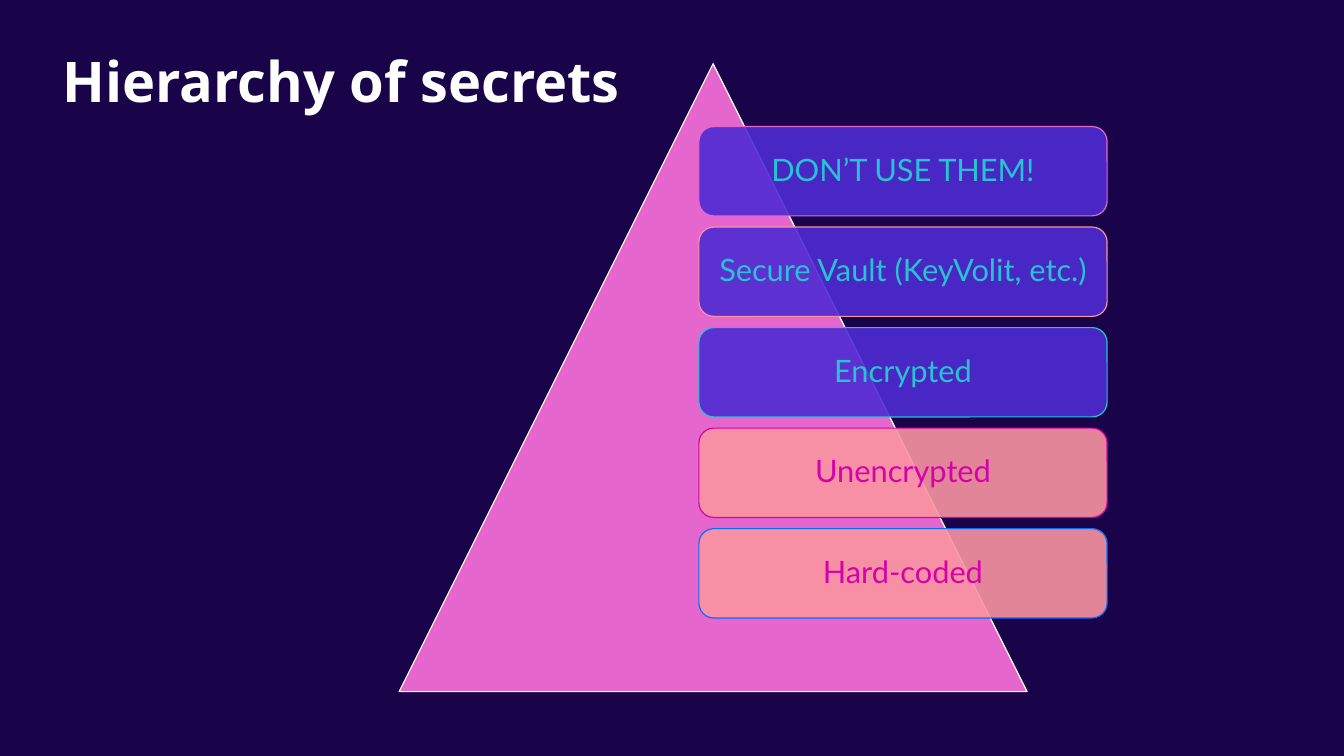
"""Build the slide that ranks ways of keeping secrets on a pyramid."""
from dataclasses import dataclass
from typing import Any

import pptx
import pptx.dml.color
import pptx.enum.shapes
import pptx.enum.text
import pptx.oxml
import pptx.oxml.ns
import pptx.util

Pt = pptx.util.Pt
Shapes = pptx.enum.shapes.MSO_SHAPE
Align = pptx.enum.text.PP_ALIGN
Anchor = pptx.enum.text.MSO_ANCHOR

COLORS = {
    "night": "190449",
    "white": "FFFFFF",
    "pink": "E566CC",
    "violet": "4F2BD3",
    "salmon": "FA94A1",
    "teal": "29C2D0",
    "magenta": "D502AA",
    "blue": "0B6BFF",
}
TITLE_BOX = (44.64, 33.12, 867.6, 48.24)
PYRAMID_BOX = (285.12, 45.5, 448.56, 448.56)
LEVEL_LEFT, LEVEL_TOP = 499.2, 90.4
LEVEL_WIDTH, LEVEL_HEIGHT = 291.6, 63.8
LEVEL_PITCH = 71.8
LINE_WIDTH = 0.85
LEVEL_OPACITY = 90


@dataclass(frozen=True)
class Level:
    """One level of the hierarchy."""

    label: str
    fill: str
    line: str
    text: str


LEVELS = (
    Level("DON’T USE THEM!", "violet", "pink", "teal"),
    Level("Secure Vault (KeyVolit, etc.)", "violet", "salmon", "teal"),
    Level("Encrypted", "violet", "teal", "teal"),
    Level("Unencrypted", "salmon", "magenta", "magenta"),
    Level("Hard-coded", "salmon", "blue", "magenta"),
)
TITLE_FONT = {"name": "Open Sans", "size": Pt(40), "bold": True}
LEVEL_FONT = {"name": "Lato", "size": Pt(22), "bold": False}
TITLE_PARAGRAPH = {"alignment": Align.LEFT, "line_spacing": 1.0}
LEVEL_PARAGRAPH = {"alignment": Align.CENTER, "line_spacing": 0.9}


def frame_format(margin: float) -> dict[str, Any]:
    """Return text frame values with the same margin on every side."""
    sides = ("left", "top", "right", "bottom")
    margins = {f"margin_{side}": Pt(margin) for side in sides}
    return {
        "word_wrap": True,
        "auto_size": pptx.enum.text.MSO_AUTO_SIZE.NONE,
        "vertical_anchor": Anchor.MIDDLE,
        **margins,
    }


def apply_format(target: Any, values: dict[str, Any]) -> None:
    """Set each named attribute on the target."""
    for name, value in values.items():
        setattr(target, name, value)


def rgb(color: str) -> pptx.dml.color.RGBColor:
    """Return the named palette color."""
    return pptx.dml.color.RGBColor.from_string(COLORS[color])


def write_text(shape: Any, text: str, color: str, margin: float,
               paragraph_format: dict[str, Any], font_format: dict[str, Any]) -> None:
    """Write one formatted paragraph into a shape."""
    apply_format(shape.text_frame, frame_format(margin))
    paragraph = shape.text_frame.paragraphs[0]
    apply_format(paragraph, paragraph_format)
    run = paragraph.add_run()
    run.text = text
    apply_format(run.font, font_format)
    run.font.color.rgb = rgb(color)


def add_outlined_shape(slide: Any, kind: Any, box: tuple[float, ...],
                       fill: str, line: str, opacity: int = 100) -> Any:
    """Add a flat shape with a fill, an outline and an opacity in percent."""
    shape = slide.shapes.add_shape(kind, *map(Pt, box))
    shape.shadow.inherit = False
    shape.fill.solid()
    shape.fill.fore_color.rgb = rgb(fill)
    shape.line.color.rgb = rgb(line)
    shape.line.width = Pt(LINE_WIDTH)
    if opacity < 100:
        color = shape.fill._xPr.find(".//" + pptx.oxml.ns.qn("a:srgbClr"))
        namespace = pptx.oxml.ns.nsdecls("a")
        color.append(pptx.oxml.parse_xml(f'<a:alpha {namespace} val="{opacity * 1000}"/>'))
    return shape


def add_title(slide: Any, text: str) -> None:
    """Place and write the title placeholder."""
    title = slide.shapes.title
    apply_format(title, dict(zip(("left", "top", "width", "height"), map(Pt, TITLE_BOX))))
    write_text(title, text, "white", 0, TITLE_PARAGRAPH, TITLE_FONT)


def add_level(slide: Any, index: int, level: Level) -> None:
    """Add the card of one level below the previous ones."""
    box = (LEVEL_LEFT, LEVEL_TOP + index * LEVEL_PITCH, LEVEL_WIDTH, LEVEL_HEIGHT)
    card = add_outlined_shape(slide, Shapes.ROUNDED_RECTANGLE, box,
                              level.fill, level.line, LEVEL_OPACITY)
    write_text(card, level.label, level.text, 6.5, LEVEL_PARAGRAPH, LEVEL_FONT)


def main() -> None:
    """Build and save the presentation."""
    presentation = pptx.Presentation()
    apply_format(presentation, {"slide_width": Pt(960), "slide_height": Pt(540)})
    slide = presentation.slides.add_slide(presentation.slide_layouts[5])
    slide.background.fill.solid()
    slide.background.fill.fore_color.rgb = rgb("night")
    add_title(slide, "Hierarchy of secrets")
    add_outlined_shape(slide, Shapes.ISOSCELES_TRIANGLE, PYRAMID_BOX, "pink", "white")
    for index, level in enumerate(LEVELS):
        add_level(slide, index, level)
    presentation.save("out.pptx")


if __name__ == "__main__":
    main()
